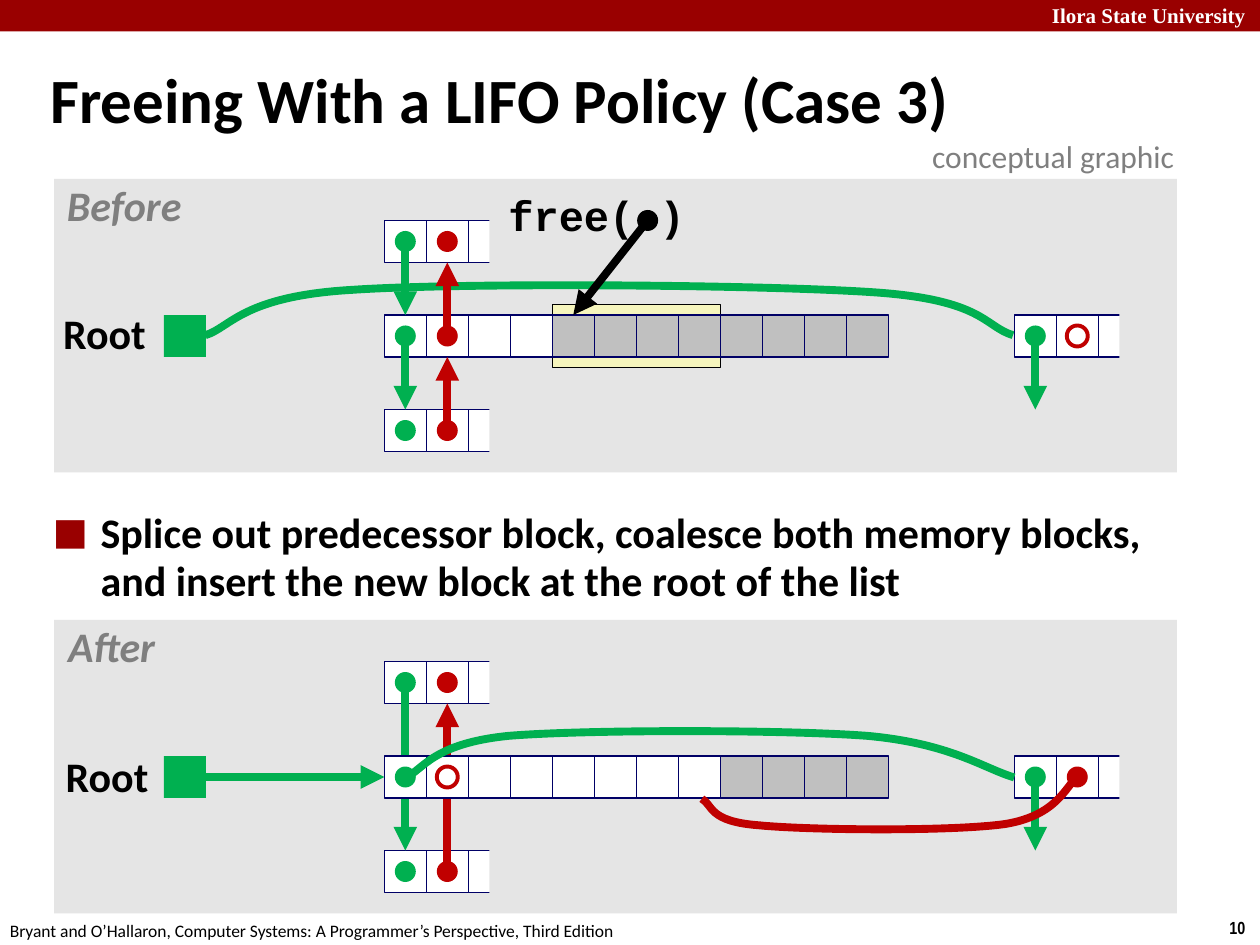
from lxml import etree
from pptx import Presentation
from pptx.dml.color import RGBColor
from pptx.enum import shapes, text
from pptx.oxml import ns
from pptx.util import Inches, Pt

BLACK = RGBColor(0, 0, 0)
WHITE = RGBColor(255, 255, 255)
MAROON = RGBColor(0x99, 0, 0)
RED = RGBColor(0xC0, 0, 0)
GREEN = RGBColor(0, 0xB0, 0x50)
NAVY = RGBColor(0, 0, 0x66)
PANEL = RGBColor(0xE5, 0xE5, 0xE5)
USED = RGBColor(0xC0, 0xC0, 0xC0)
CREAM = RGBColor(0xF6, 0xF5, 0xBD)
MUTED = RGBColor(0x7F, 0x7F, 0x7F)

# Content
TITLE = "Freeing With a LIFO Policy (Case 3)"
BULLET = ("Splice out predecessor block, coalesce both memory blocks, "
          "and insert the new block at the root of the list")
# wording, left, top, width, height, inset, font, size, colour, bold, italic
HEADING = ("Calibri", 24, BLACK, True, False)
STATE = ("Calibri", 24, MUTED, True, True)
FRAME_LABELS = [
    ("Ilora State University", 8.25, -0.03, 1.75, 0.3, 0.1,
     "Times New Roman", 12, WHITE, True, False),
    ("10", 9.66, 7.23, 0.34, 0.27, 0.1, "Arial Narrow", 10, BLACK, True, False),
    ("Bryant and O’Hallaron, Computer Systems: A Programmer’s Perspective, Third Edition",
     -0.02, 7.25, 5.08, 0.27, 0.1, "Calibri", 10, BLACK, False, False),
    ("conceptual graphic", 7.3, 1.04, 2.17, 0.4, 0.1, "Calibri", 18, MUTED, False, False),
]
DIAGRAM_LABELS = [
    ("Root", 0.45, 2.44, 0.76, 0.47, 0.05, *HEADING),
    ("Root", 0.47, 5.95, 0.76, 0.47, 0.05, *HEADING),
    ("Before", 0.47, 1.42, 1.03, 0.47, 0.05, *STATE),
    ("After", 0.48, 4.92, 0.81, 0.47, 0.05, *STATE),
    ("free( )", 3.98, 1.5, 1.51, 0.47, 0.05, "Courier New", 24, BLACK, True, False),
]
# Curves: start point, then three points for each Bezier segment
ROOT_LINK = [(1.63, 2.66), (1.83, 2.6), (1.92, 2.35), (2.8, 2.3), (3.69, 2.24),
             (6.06, 2.26), (6.94, 2.32), (7.81, 2.38), (7.81, 2.59), (8.04, 2.66)]
NEXT_LINK = [(3.22, 6.17), (3.36, 6.11), (3.43, 5.9), (4.04, 5.84), (4.65, 5.79),
             (6.21, 5.79), (6.88, 5.84), (7.55, 5.9), (7.81, 6.1), (8.05, 6.17)]
BACK_LINK = [(8.55, 6.17), (8.46, 6.23), (8.4, 6.47), (7.98, 6.54), (7.56, 6.6),
             (6.42, 6.59), (6.02, 6.55), (5.62, 6.52), (5.66, 6.39), (5.57, 6.34)]

# Memory grid
CELL = 1 / 3
DOT = CELL / 2
GRID_LEFT, ROOT_LEFT, FAR_COLUMN, ROW_CELLS = 3.05, 1.3, 15, 12
BEFORE, AFTER, ROW_STEP = 2.5, 6.0, 0.75

deck = Presentation()
deck.slide_width, deck.slide_height = Inches(10), Inches(7.5)
page = deck.slides.add_slide(deck.slide_layouts[5])


def column(index):
    return GRID_LEFT + index * CELL


def centre(index, top):
    return column(index) + CELL / 2, top + CELL / 2


def add_box(left, top, width, height, fill=None, line=None, weight=0.75,
            kind=shapes.MSO_SHAPE.RECTANGLE, parent=page):
    box = parent.shapes.add_shape(kind, *map(Inches, (left, top, width, height)))
    box.shadow.inherit = False
    if fill is None:
        box.fill.background()
    else:
        box.fill.solid()
        box.fill.fore_color.rgb = fill
    if line is None:
        box.line.fill.background()
    else:
        box.line.color.rgb = line
        box.line.width = Pt(weight)
    return box


def add_cell(index, top, fill=WHITE, parent=page):
    return add_box(column(index), top, CELL, CELL, fill, NAVY, parent=parent)


def add_stub(index, top):
    """Three cells, the last one cut off by a panel-coloured cover."""
    group = page.shapes.add_group_shape()
    cells = [add_cell(index + i, top, parent=group) for i in range(3)]
    add_box(column(index + 2.5), top - CELL / 4, CELL, CELL * 1.5, PANEL, parent=group)
    return cells


def add_row(top, free_count):
    return [add_cell(i, top, WHITE if i < free_count else USED) for i in range(ROW_CELLS)]


def add_dot(x, y, colour, ring=False):
    add_box(x - DOT / 2, y - DOT / 2, DOT, DOT, None if ring else colour,
            colour if ring else None, 2.25, shapes.MSO_SHAPE.OVAL)


def add_arrow(start, end, colour, target=None, side=0, source=None):
    arrow = page.shapes.add_connector(shapes.MSO_CONNECTOR.STRAIGHT,
                                      *map(Inches, (*start, *end)))
    if source is not None:
        arrow.begin_connect(source, 3)
    if target is not None:
        arrow.end_connect(target, side)
    arrow.line.color.rgb = colour
    arrow.line.width = Pt(4.5)
    props = arrow.element.spPr
    etree.SubElement(props.find(ns.qn("a:ln")), ns.qn("a:tailEnd"), type="triangle")
    etree.SubElement(props, ns.qn("a:effectLst"))


def add_curve(points, colour):
    start, *rest = [(Inches(x), Inches(y)) for x, y in points]
    builder = page.shapes.build_freeform(*start)
    builder.add_line_segments(rest, close=False)
    curve = builder.convert_to_shape()
    curve.shadow.inherit = False
    curve.fill.background()
    curve.line.color.rgb = colour
    curve.line.width = Pt(4.5)
    # Turn each three straight segments into one Bezier segment
    outline = next(curve.element.iter(ns.qn("a:path")))
    segments = outline.findall(ns.qn("a:lnTo"))
    for i in range(0, len(segments), 3):
        bezier = etree.SubElement(outline, ns.qn("a:cubicBezTo"))
        for segment in segments[i:i + 3]:
            bezier.append(segment[0])
            outline.remove(segment)


def write(box, wording, inset, font, size, colour, bold, italic=False, spacing=None,
          align=text.PP_ALIGN.LEFT, wrap=True):
    frame = box.text_frame
    frame.word_wrap = wrap
    frame.auto_size = (text.MSO_AUTO_SIZE.NONE if wrap
                       else text.MSO_AUTO_SIZE.SHAPE_TO_FIT_TEXT)
    frame.margin_left = frame.margin_right = Inches(inset)
    frame.margin_top = frame.margin_bottom = Inches(0.05)
    para = frame.paragraphs[0]
    para.alignment, para.line_spacing = align, spacing
    span = para.add_run()
    span.text = wording
    span.font.name, span.font.size = font, Pt(size)
    span.font.color.rgb = colour
    span.font.bold, span.font.italic = bold, italic
    return para


def add_label(wording, left, top, width, height, inset, *style, **layout):
    box = page.shapes.add_textbox(*map(Inches, (left, top, width, height)))
    return write(box, wording, inset, *style, **layout)


def hang(para, indent):
    props = para._p.get_or_add_pPr()
    props.set("marL", str(Inches(indent)))
    props.set("indent", str(-Inches(indent)))
    return props


# Page frame and title
add_box(0, 0, 10, 0.25, MAROON)
for label in FRAME_LABELS:
    add_label(*label, wrap=False)
title = page.shapes.title
title.left, title.top, title.width, title.height = map(Inches, (0.3, 0.39, 9.53, 0.86))
title.text_frame.vertical_anchor = text.MSO_ANCHOR.MIDDLE
hang(write(title, TITLE, 0.1, "Calibri", 36, BLACK, True, spacing=0.87), 0.13)

# Bullet between the panels
props = hang(add_label(BULLET, 0.32, 4, 9.09, 0.86, 0.1, *HEADING, spacing=0.95), 0.38)
bullet_colour = etree.SubElement(props, ns.qn("a:buClr"))
etree.SubElement(bullet_colour, ns.qn("a:srgbClr"), val=str(MAROON))
etree.SubElement(props, ns.qn("a:buSzPct"), val="140000")
etree.SubElement(props, ns.qn("a:buFont"), typeface="Times New Roman")
etree.SubElement(props, ns.qn("a:buChar"), char="■")

# Panels
for top in (1.42, 4.92):
    add_box(0.43, top, 8.91, 2.33, PANEL)

# Before: freed block sits behind its predecessor in the list
upper, lower = BEFORE - ROW_STEP, BEFORE + ROW_STEP
add_box(column(4), BEFORE - CELL / 4, 4 * CELL, 1.5 * CELL, CREAM, BLACK)
add_curve(ROOT_LINK, GREEN)
row = add_row(BEFORE, 4)
top_cells, bottom_cells = add_stub(0, upper), add_stub(0, lower)
for start_row, goal in ((upper, row[0]), (BEFORE, bottom_cells[0])):
    add_arrow(centre(0, start_row), centre(0, start_row), GREEN, goal, 0)
for start_row, goal in ((lower, row[1]), (BEFORE, top_cells[1])):
    add_arrow(centre(1, start_row), centre(1, start_row), RED, goal, 2)
add_box(ROOT_LEFT, BEFORE, CELL, CELL, GREEN)

# After: merged block is at the root, its old neighbours are linked past it
upper, lower = AFTER - ROW_STEP, AFTER + ROW_STEP
bottom_cells, top_cells = add_stub(0, lower), add_stub(0, upper)
add_arrow(centre(1, lower), centre(1, upper), RED, top_cells[1], 2)
add_arrow(centre(0, upper), centre(0, lower), GREEN, bottom_cells[0], 0)
merged = add_row(AFTER, 8)
root = add_box(ROOT_LEFT, AFTER, CELL, CELL, GREEN)
add_arrow((ROOT_LEFT, AFTER), (GRID_LEFT, AFTER), GREEN, merged[0], 1, root)

# Far list block and pointer dots; one ring marks the empty back pointer
for middle, ring_column in ((BEFORE, FAR_COLUMN + 1), (AFTER, 1)):
    add_stub(FAR_COLUMN, middle)
    x, y = centre(FAR_COLUMN, middle)
    add_arrow((x, y), (x, middle + ROW_STEP), GREEN)
    spots = [(c, middle + r * ROW_STEP) for c in (0, 1) for r in (-1, 0, 1)]
    spots += [(FAR_COLUMN, middle), (FAR_COLUMN + 1, middle)]
    for index, top in spots:
        empty = index == ring_column and top == middle
        add_dot(*centre(index, top), GREEN if index in (0, FAR_COLUMN) else RED, empty)
add_curve(NEXT_LINK, GREEN)
add_curve(BACK_LINK, RED)

# Labels and the pointer passed to free
for label in DIAGRAM_LABELS:
    add_label(*label, spacing=0.9, align=text.PP_ALIGN.CENTER, wrap=False)
add_dot(5.14, 1.75, BLACK)
add_arrow((5.14, 1.75), (4.55, 2.5), BLACK, row[4], 0)

deck.save("out.pptx")
